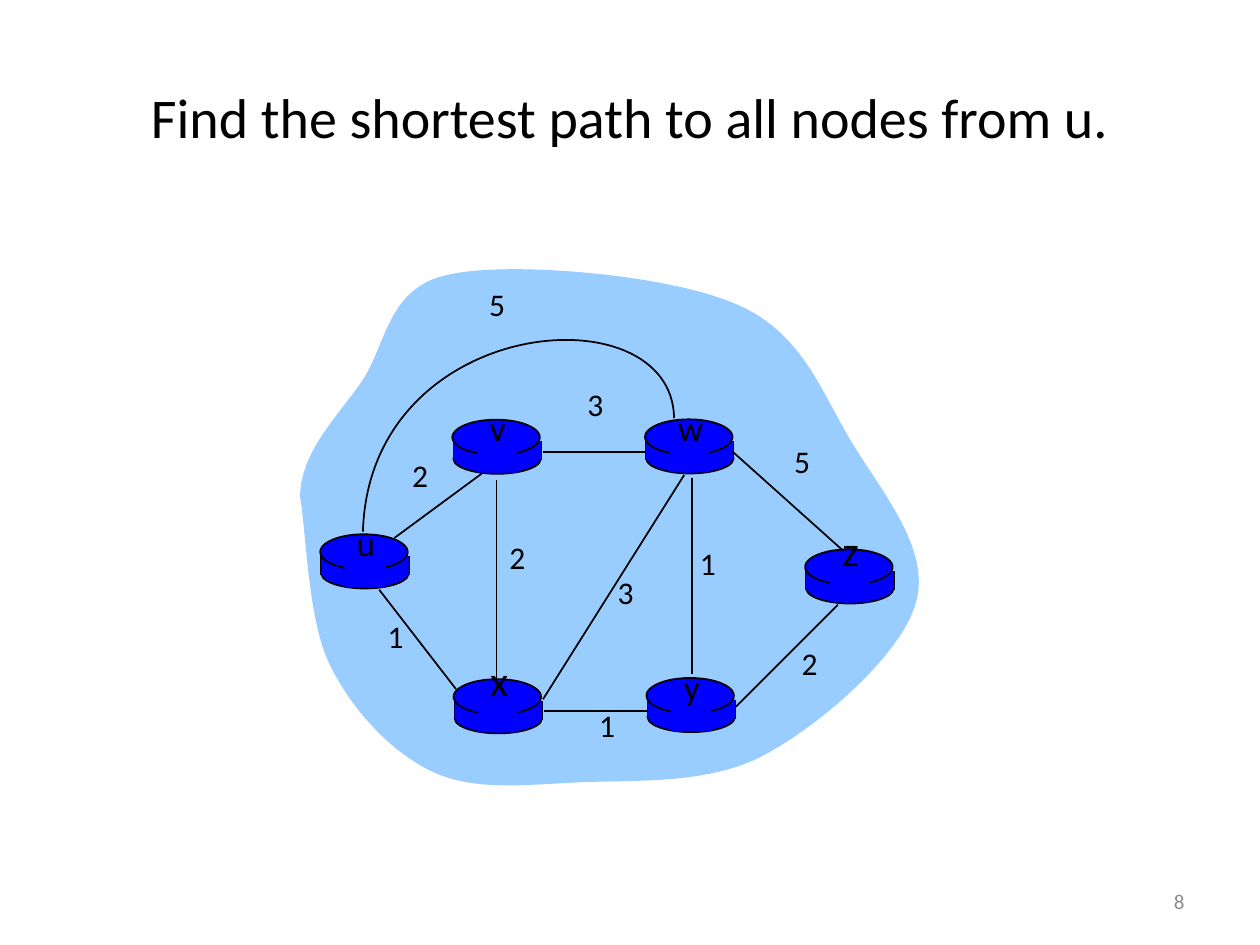
from pptx import Presentation
from pptx.dml.color import RGBColor
from pptx.enum.shapes import MSO_CONNECTOR, MSO_SHAPE
from pptx.enum.text import MSO_ANCHOR, PP_ALIGN
from pptx.oxml.ns import qn
from pptx.util import Pt

RECT, OVAL = MSO_SHAPE.RECTANGLE, MSO_SHAPE.OVAL
STRAIGHT = MSO_CONNECTOR.STRAIGHT
CENTER, RIGHT = PP_ALIGN.CENTER, PP_ALIGN.RIGHT
TOP, MIDDLE = MSO_ANCHOR.TOP, MSO_ANCHOR.MIDDLE

FONT = "Calibri"
COLORS = {"cloud": "99CCFF", "router": "0000FF", "ink": "000000", "number": "8C8C8C"}

TITLE = "Find the shortest path to all nodes from u."
SLIDE_NUMBER = "8"

# Curves: start point, then two control points and an end point per segment
CLOUD = [
    (171.4, 283.7),
    (172.1, 257.8), (192.2, 239), (206.6, 218.2),
    (221, 197.3), (221, 164.2), (256.3, 157),
    (291.6, 149), (381.6, 157), (419.8, 173.5),
    (458.6, 189.4), (469.4, 224.6), (486.7, 252.7),
    (504, 281.5), (532.1, 313.9), (523.4, 344.2),
    (515.5, 373.7), (469.4, 414), (437, 431.3),
    (405.4, 448.6), (362.2, 445.7), (330.5, 447.1),
    (298.8, 448.6), (270, 452.2), (246.2, 440.6),
    (222.5, 429.1), (200.2, 404.6), (187.9, 378.7),
    (175.7, 352.8), (175, 303.1), (171.4, 283.7),
]
ARC_W_U = [(385.2, 239), (384.5, 165.6), (211, 179.3), (207.4, 303.8)]

# Routers: name, left, top, label size, label width
NODES = [
    ("u", 183, 305.3, 20, 31.7),
    ("x", 259.2, 388.1, 24, 36.7),
    ("v", 258.5, 239.8, 20, 31),
    ("w", 368.6, 239.6, 20, 36),
    ("y", 369.4, 387.4, 20, 31.7),
    ("z", 460.1, 313.9, 24, 35.3),
]

# Links: from x, y to x, y
LINK_U_V = (225.4, 307.4, 280.1, 267.1)
LINKS = [
    (395.3, 272.9, 395.3, 385.2),  # w-y
    (283.7, 274.3, 283.7, 389.5),  # v-x
    (310.3, 399.6, 391, 271.4),    # x-w
    (420.5, 403.9, 478.8, 345.6),  # y-z
    (370.1, 406.1, 311, 406.1),    # y-x
    (260.6, 393.8, 216.7, 337),    # x-u
    (369.4, 258.5, 310.3, 258.5),  # w-v
    (481.7, 314.6, 418.3, 257.8),  # z-w
]

# Link costs: text, left, top
COSTS = [
    ("2", 223.9, 257), ("2", 279.4, 303.8), ("1", 211.7, 349.2), ("3", 341.3, 324),
    ("1", 332.6, 399.6), ("1", 390.2, 307.4), ("2", 446.4, 364.3), ("5", 442.1, 249.1),
    ("3", 324, 216.7), ("5", 267.8, 159.1),
]

# Router geometry, relative to its top ellipse
ROUTER_W, LID_H, BASE_H, SIDE_H = 50, 20.2, 17.3, 10.8
SIDE_DX, SIDE_DY, BASE_DY = 0.6, 12.4, 13.7
PATCH_DX, PATCH_DY, PATCH_W, PATCH_H = 14, 2.4, 23, 28
LABEL_CENTER = 26
LABEL_RISE = {20: 10.8, 24: 17.5}
LABEL_H = {20: 54, 24: 62}


def rgb(name):
    return RGBColor.from_string(COLORS[name])


def paint(sp, fill=None, outlined=False):
    sp.shadow.inherit = False
    if fill:
        sp.fill.solid()
        sp.fill.fore_color.rgb = rgb(fill)
    else:
        sp.fill.background()
    if outlined:
        sp.line.color.rgb = rgb("ink")
        sp.line.width = Pt(1)
    else:
        sp.line.fill.background()


def add_block(s, kind, x, y, w, h, outlined=False):
    sp = s.shapes.add_shape(kind, Pt(x), Pt(y), Pt(w), Pt(h))
    paint(sp, "router", outlined)


def add_line(s, x1, y1, x2, y2):
    cn = s.shapes.add_connector(STRAIGHT, Pt(x1), Pt(y1), Pt(x2), Pt(y2))
    cn.line.color.rgb = rgb("ink")
    cn.line.width = Pt(1)
    sp_pr = cn._element.spPr
    sp_pr.append(sp_pr.makeelement(qn("a:effectLst"), {}))


def add_curve(s, points, closed=False):
    (x, y), *rest = [(Pt(px), Pt(py)) for px, py in points]
    fb = s.shapes.build_freeform(x, y, 1.0)
    fb.add_line_segments(rest, close=closed)
    sp = fb.convert_to_shape()
    # Merge each three line segments into one Bezier segment
    segments = list(sp._element.iter(qn("a:lnTo")))
    for first, second, third in zip(*[iter(segments)] * 3):
        first.tag = qn("a:cubicBezTo")
        for other in (second, third):
            first.append(other[0])
            other.getparent().remove(other)
    return sp


def add_text(s, text, x, y, w, h, size, color="ink", align=CENTER, anchor=TOP, wrap=False):
    tf = s.shapes.add_textbox(Pt(x), Pt(y), Pt(w), Pt(h)).text_frame
    tf.word_wrap = wrap
    tf.vertical_anchor = anchor
    p = tf.paragraphs[0]
    p.text = text
    p.alignment = align
    p.font.name = FONT
    p.font.size = Pt(size)
    p.font.color.rgb = rgb(color)


def add_router(s, x, y):
    left, side = x + SIDE_DX, y + SIDE_DY
    add_block(s, OVAL, left, y + BASE_DY, ROUTER_W, BASE_H, outlined=True)
    for edge in (left, left + ROUTER_W):
        add_line(s, edge, side, edge, side + SIDE_H)
    add_block(s, RECT, left, side, ROUTER_W, SIDE_H)
    add_block(s, OVAL, x, y, ROUTER_W, LID_H, outlined=True)


def main():
    prs = Presentation()
    prs.slide_width, prs.slide_height = Pt(720), Pt(540)
    s = prs.slides.add_slide(prs.slide_layouts[6])

    # Title and slide number
    add_text(s, TITLE, 36, 21.6, 648, 90, 32, anchor=MIDDLE, wrap=True)
    add_text(s, SLIDE_NUMBER, 516, 500.5, 168, 28.8, 12, "number", RIGHT, MIDDLE, True)

    # Network cloud
    paint(add_curve(s, CLOUD, closed=True), "cloud")

    # Routers and links
    add_line(s, *LINK_U_V)
    for _, x, y, _, _ in NODES:
        add_router(s, x, y)
    for link in LINKS:
        add_line(s, *link)
    paint(add_curve(s, ARC_W_U), outlined=True)

    # Router names
    for name, x, y, size, width in NODES:
        add_block(s, RECT, x + PATCH_DX, y + PATCH_DY, PATCH_W, PATCH_H)
        add_text(s, name, x + LABEL_CENTER - width / 2, y - LABEL_RISE[size],
                 width, LABEL_H[size], size)

    # Link costs
    for cost, x, y in COSTS:
        add_text(s, cost, x, y, 28.8 if cost == "1" else 32.4, 49.7, 18)

    prs.save("out.pptx")


if __name__ == "__main__":
    main()
